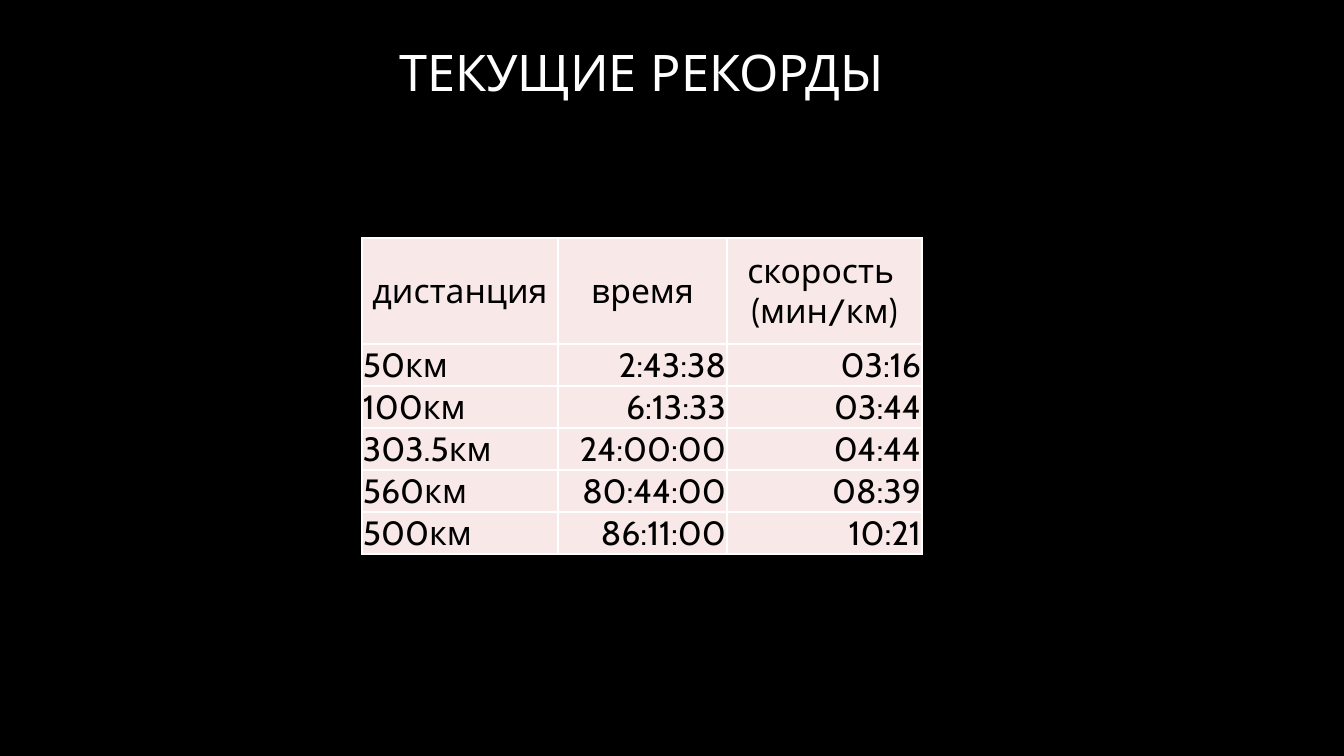
from dataclasses import dataclass
from lxml.etree import SubElement as Sub
from pptx import Presentation
from pptx.dml.color import RGBColor as Rgb
from pptx.enum.text import MSO_ANCHOR as Anchor, PP_ALIGN as Align
from pptx.oxml.ns import qn
from pptx.util import Pt

SCALE = 12192000 / 1344  # EMU per px


def px(n):
    return round(n * SCALE)


def put(obj, **vals):
    for key, val in vals.items():
        setattr(obj, key, val)


@dataclass(frozen=True)
class Theme:
    back: str = "000000"
    light: str = "FFFFFF"
    dark: str = "000000"
    rose: str = "F9E8E8"
    head: str = "Quicksand"
    body: str = "Cabin"
    big: int = 36
    mid: int = 24


class Deck:
    def __init__(self, theme):
        self.theme = theme
        self.prs = Presentation()
        put(self.prs, slide_width=px(1344), slide_height=px(756))
        self.slide = self.prs.slides.add_slide(self.prs.slide_layouts[6])
        self.paint(self.slide.background.fill, theme.back)

    def paint(self, fill, color):
        fill.solid()
        fill.fore_color.rgb = Rgb.from_string(color)

    def label(self, para, text, font, size, color, align):
        put(para, text=text, alignment=align)
        for run in para.runs:
            put(run.font, name=font, size=Pt(size))
            run.font.color.rgb = Rgb.from_string(color)

    def title(self, text, box):
        t = self.theme
        frame = self.slide.shapes.add_textbox(*map(px, box)).text_frame
        put(frame, word_wrap=True, vertical_anchor=Anchor.MIDDLE)
        para = frame.paragraphs[0]
        para.line_spacing = 0.9
        self.label(para, text, t.head, t.big, t.light, Align.RIGHT)

    def border(self, cell):
        props = cell._tc.get_or_add_tcPr()
        for at, side in enumerate(("lnL", "lnR", "lnT", "lnB")):
            line = Sub(props, qn("a:" + side), w="12700")
            fill = Sub(line, qn("a:solidFill"))
            Sub(fill, qn("a:srgbClr"), val=self.theme.light)
            props.insert(at, line)  # borders come before the fill

    def table(self, rows, left, top, widths, heights):
        t = self.theme
        box = map(px, (left, top, sum(widths), sum(heights)))
        grid = self.slide.shapes.add_table(len(rows), len(widths), *box).table
        put(grid, first_row=False, horz_banding=False)
        for col, wide in zip(grid.columns, widths):
            col.width = px(wide)
        for r, (row, high) in enumerate(zip(rows, heights)):
            grid.rows[r].height = px(high)
            for c, text in enumerate(row):
                cell = grid.cell(r, c)
                put(cell, margin_left=px(1), margin_right=px(1),
                    margin_top=px(1), margin_bottom=0,
                    vertical_anchor=Anchor.BOTTOM if r else Anchor.MIDDLE)
                self.paint(cell.fill, t.rose)
                self.border(cell)
                side = Align.RIGHT if c else Align.LEFT
                self.label(cell.text_frame.paragraphs[0], text, t.body, t.mid,
                           t.dark, side if r else Align.CENTER)


RECORDS = [
    ("дистанция", "время", "скорость \n(мин/км)"),
    ("50км", "2:43:38", "03:16"),
    ("100км", "6:13:33", "03:44"),
    ("303.5км", "24:00:00", "04:44"),
    ("560км", "80:44:00", "08:39"),
    ("500км", "86:11:00", "10:21"),
]


def main():
    deck = Deck(Theme())
    # Heading
    deck.title("ТЕКУЩИЕ РЕКОРДЫ", (139, 40, 755, 71))
    # Records table
    deck.table(RECORDS, 362, 238, (196, 169, 195), [106] + [42] * 5)
    deck.prs.save("out.pptx")


if __name__ == "__main__":
    main()
